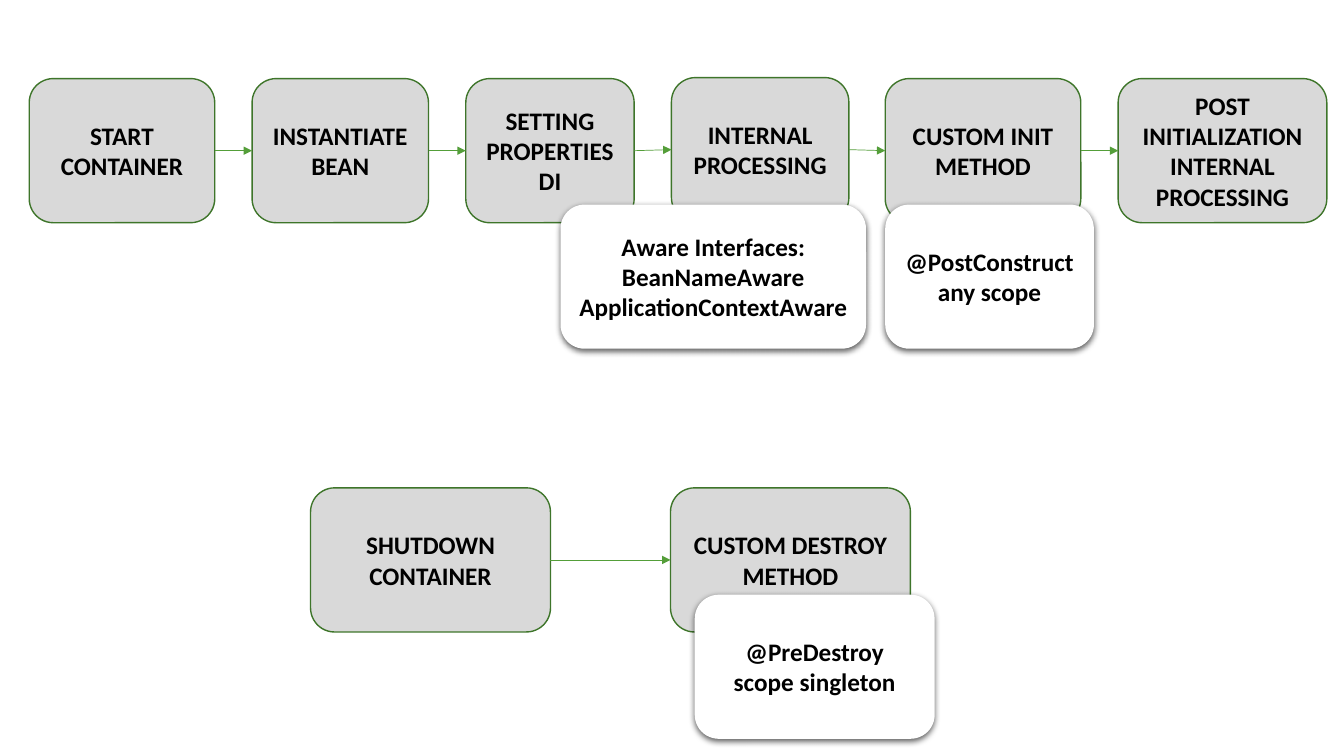
from itertools import pairwise

from lxml import etree
from pptx import Presentation
from pptx.dml.color import RGBColor
from pptx.enum.shapes import MSO_CONNECTOR, MSO_SHAPE
from pptx.enum.text import MSO_ANCHOR, PP_ALIGN
from pptx.oxml.ns import qn
from pptx.util import Inches, Pt

ROUNDED = MSO_SHAPE.ROUNDED_RECTANGLE
STRAIGHT = MSO_CONNECTOR.STRAIGHT
MIDDLE = MSO_ANCHOR.MIDDLE
CENTER = PP_ALIGN.CENTER
LEFT_SIDE, RIGHT_SIDE = 1, 3

GREY = RGBColor(0xD9, 0xD9, 0xD9)
DARK_GREEN = RGBColor(0x3E, 0x75, 0x2A)
GREEN = RGBColor(0x54, 0x9E, 0x39)
WHITE = RGBColor(0xFF, 0xFF, 0xFF)
BLACK = RGBColor(0, 0, 0)

BOX_HEIGHT = 1.43
STARTUP_STEPS = [
    (0.29, 0.78, 1.84, "START\nCONTAINER"),
    (2.5, 0.78, 1.75, "INSTANTIATE\nBEAN"),
    (4.62, 0.78, 1.67, "SETTING PROPERTIES DI"),
    (6.66, 0.77, 1.76, "INTERNAL PROCESSING"),
    (8.78, 0.78, 1.94, "CUSTOM INIT METHOD"),
    (11.09, 0.78, 2.07, "POST INITIALIZATION INTERNAL PROCESSING"),
]
SHUTDOWN_STEPS = [
    (3.08, 4.84, 2.38, "SHUTDOWN CONTAINER"),
    (6.65, 4.84, 2.38, "CUSTOM DESTROY METHOD"),
]
NOTES = [
    (5.56, 2.03, 3.03, "Aware Interfaces:\nBeanNameAware\nApplicationContextAware"),
    (8.78, 2.03, 2.07, "@PostConstruct\nany scope"),
    (6.89, 5.9, 2.38, "@PreDestroy\nscope singleton"),
]


class LifecycleSlide:
    """Draws the steps, notes and arrows of a bean lifecycle on one slide."""

    def __init__(self, slide, font_name="Calibri", font_size=18):
        self.slide = slide
        self.font_name = font_name
        self.font_size = Pt(font_size)

    def box(self, left, top, width, text, fill):
        shape = self.slide.shapes.add_shape(
            ROUNDED, Inches(left), Inches(top), Inches(width), Inches(BOX_HEIGHT)
        )
        shape.fill.solid()
        shape.fill.fore_color.rgb = fill
        shape.shadow.inherit = False
        shape.text_frame.text = text
        shape.text_frame.word_wrap = True
        shape.text_frame.vertical_anchor = MIDDLE
        for paragraph in shape.text_frame.paragraphs:
            paragraph.alignment = CENTER
            paragraph.font.name = self.font_name
            paragraph.font.size = self.font_size
            paragraph.font.bold = True
            paragraph.font.color.rgb = BLACK
        return shape

    def step(self, left, top, width, text):
        shape = self.box(left, top, width, text, GREY)
        shape.line.color.rgb = DARK_GREEN
        shape.line.width = Pt(1)
        return shape

    def note(self, left, top, width, text):
        shape = self.box(left, top, width, text, WHITE)
        shape.line.fill.background()
        effects = shape.element.spPr.find(qn("a:effectLst"))
        shadow = etree.SubElement(
            effects, qn("a:outerShdw"), blurRad=str(Pt(4.5)), dist=str(Pt(1.5)),
            dir="5400000", algn="ctr", rotWithShape="0",
        )
        color = etree.SubElement(shadow, qn("a:srgbClr"), val=str(BLACK))
        etree.SubElement(color, qn("a:alpha"), val="63000")

    def arrow(self, source, target):
        connector = self.slide.shapes.add_connector(STRAIGHT, 0, 0, 0, 0)
        connector.begin_connect(source, RIGHT_SIDE)
        connector.end_connect(target, LEFT_SIDE)
        connector.line.color.rgb = GREEN
        connector.line.width = Pt(0.5)
        properties = connector.element.spPr
        etree.SubElement(properties.find(qn("a:ln")), qn("a:tailEnd"), type="triangle")
        etree.SubElement(properties, qn("a:effectLst"))


def main():
    presentation = Presentation()
    presentation.slide_width = Inches(13.33)
    presentation.slide_height = Inches(7.5)
    blank_layout = presentation.slide_layouts[6]
    lifecycle = LifecycleSlide(presentation.slides.add_slide(blank_layout))

    flows = [
        [lifecycle.step(*step) for step in steps]
        for steps in (STARTUP_STEPS, SHUTDOWN_STEPS)
    ]
    for note in NOTES:
        lifecycle.note(*note)
    for flow in flows:
        for source, target in pairwise(flow):
            lifecycle.arrow(source, target)

    presentation.save("out.pptx")


if __name__ == "__main__":
    main()
